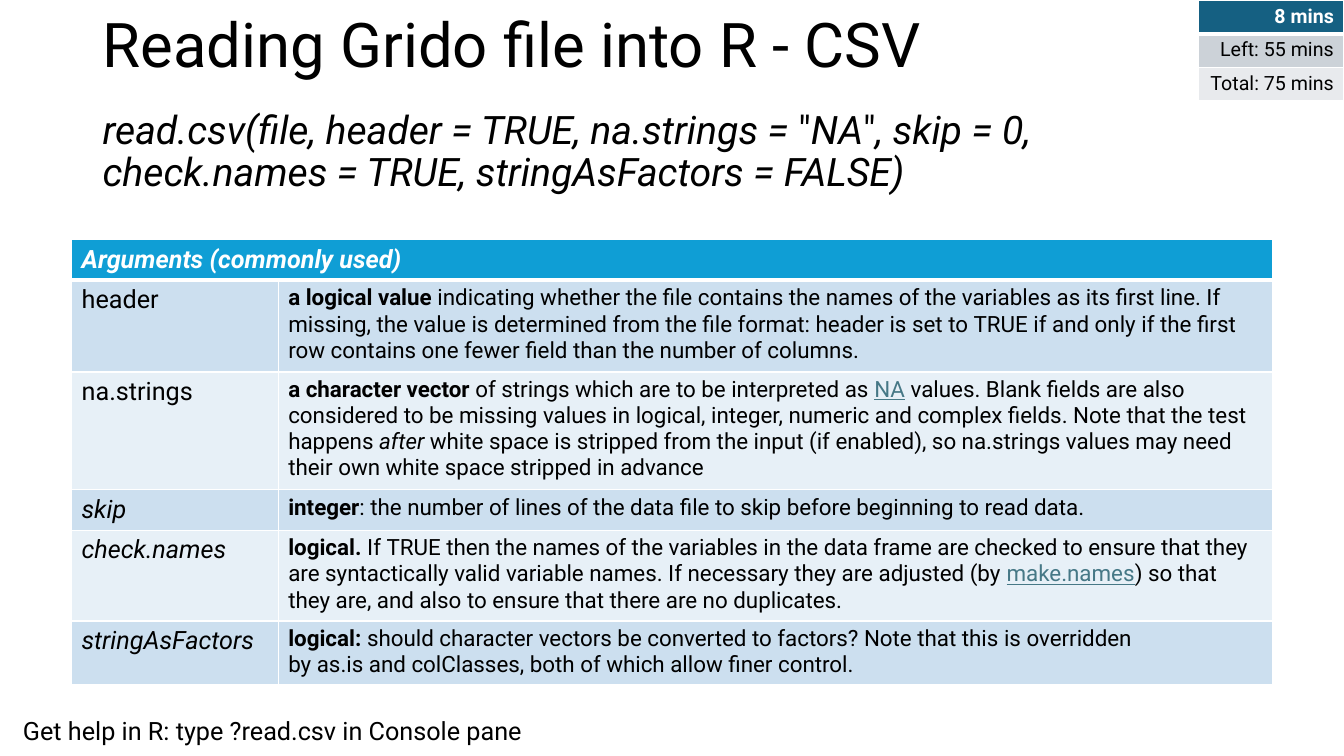
from dataclasses import dataclass

from lxml import etree
from pptx import Presentation
from pptx import util as u
from pptx.dml.color import RGBColor
from pptx.enum import text
from pptx.oxml.ns import qn

WIDE, HIGH = 13.33, 7.5

TITLE = "Reading Grido file into R - CSV"
CALL = [
    ("read.csv(file, header = TRUE, na.strings = ", "i"), ('"', ""), ("NA", "i"), ('"', ""),
    (", skip = 0, check.names = TRUE, stringAsFactors = FALSE)", "i"),
]
HELP = "Get help in R: type ?read.csv in Console pane"
TIMES = ["8 mins", "Left: 55 mins", "Total: 75 mins"]
HEAD = "Arguments (commonly used)"

# Each argument: name, style of the name, row height, description runs.
# A tilde stands for a space that does not break.
ARGS = [
    ("header", "", 0.91, [
        ("a logical value ", "b"),
        ("indicating whether the file contains the names of the variables as its first line. "
         "If missing, the value is determined from the file format:~header~is set to~TRUE~if "
         "and only if the first row contains one fewer field than the number of columns.", "")]),
    ("na.strings", "", 1.17, [
        ("a character vector ", "b"),
        ("of strings which are to be interpreted as~", ""),
        ("NA", "u"),
        ("~values. Blank fields are also considered to be missing values in logical, integer, "
         "numeric and complex fields. Note that the test happens~", ""),
        ("after", "i"),
        ("~white space is stripped from the input (if enabled), so~na.strings~values may need "
         "their own white space stripped in advance", "")]),
    ("skip", "i", 0.4, [
        ("integer", "b"),
        (": the number of lines of the data file to skip before beginning to read data.", "")]),
    ("check.names", "i", 0.9, [
        ("logical. ", "b"),
        ("If~TRUE~then the names of the variables in the data frame are checked to ensure that "
         "they are syntactically valid variable names. If necessary they are adjusted (by~", ""),
        ("make.names", "u"),
        (") so that they are, and also to ensure that there are no duplicates.", "")]),
    ("stringAsFactors", "i", 0.63, [
        ("logical: ", "b"),
        ("should character vectors be converted to factors? Note that this is overridden "
         "by~as.is~and~colClasses, both of which allow finer control.", "")]),
]


@dataclass(frozen=True)
class Theme:
    font: str = "Roboto"
    ink: str = "000000"
    white: str = "FFFFFF"
    link: str = "467886"
    clock: tuple = ("156082", "CCD2D8", "E8EAED")
    head: str = "0F9ED5"
    bands: tuple = ("CCDFEF", "E7F0F7")
    title: int = 44
    code: int = 28
    base: int = 18
    note: int = 16
    small: int = 14
    thin: int = 1
    thick: int = 3


T = Theme()


def write(frame, runs, size, color=T.ink, align=text.PP_ALIGN.LEFT):
    """Fill a text frame; run styles combine b(old), i(talic) and u(nderlined link)."""
    para = frame.paragraphs[0]
    para.alignment = align
    para.font.name, para.font.size = T.font, u.Pt(size)
    para.font.color.rgb = RGBColor.from_string(color)
    for words, style in runs:
        run = para.add_run()
        run.text = words.replace("~", chr(160))
        run.font.bold, run.font.italic = "b" in style, "i" in style
        if "u" in style:
            run.font.underline = True
        # Runs carry their own face so placeholder and table styles cannot win
        run.font.name, run.font.size = T.font, u.Pt(size)
        run.font.color.rgb = RGBColor.from_string(T.link if "u" in style else color)
    return para


def place(shape, left, top, width, height):
    shape.left, shape.top = u.Inches(left), u.Inches(top)
    shape.width, shape.height = u.Inches(width), u.Inches(height)


def box(slide, *area):
    shape = slide.shapes.add_textbox(*(u.Inches(n) for n in area))
    shape.text_frame.word_wrap = True
    return shape.text_frame


def grid(slide, left, top, cols, rows):
    """Add a plain table with the given column widths and row heights."""
    area = (u.Inches(n) for n in (left, top, sum(cols), sum(rows)))
    table = slide.shapes.add_table(len(rows), len(cols), *area).table
    table.first_row = table.horz_banding = False
    for col, width in zip(table.columns, cols):
        col.width = u.Inches(width)
    for row, height in zip(table.rows, rows):
        row.height = u.Inches(height)
    return table


def paint(cell, row, fill):
    """Draw white rules round a cell, thick below the header row, then fill it."""
    props = cell._tc.get_or_add_tcPr()
    for side in "LRTB":
        heavy = (row, side) in ((0, "B"), (1, "T"))
        line = etree.SubElement(props, qn("a:ln" + side))
        line.set("w", str(u.Pt(T.thick if heavy else T.thin)))
        solid = etree.SubElement(line, qn("a:solidFill"))
        etree.SubElement(solid, qn("a:srgbClr")).set("val", T.white)
    cell.fill.solid()
    cell.fill.fore_color.rgb = RGBColor.from_string(fill)


def add_clock(slide):
    width = 1.44
    table = grid(slide, WIDE - width, 0, [width], [HIGH / 22.5] * len(TIMES))
    for row, (words, fill) in enumerate(zip(TIMES, T.clock)):
        cell = table.cell(row, 0)
        paint(cell, row, fill)
        style, color = ("", T.ink) if row else ("b", T.white)
        write(cell.text_frame, [(words, style)], T.small, color, text.PP_ALIGN.RIGHT)


def add_args(slide):
    table = grid(slide, 0.71, 2.38, [2.05, 9.86], [0.39] + [arg[2] for arg in ARGS])
    for col in range(2):
        paint(table.cell(0, col), 0, T.head)
    table.cell(0, 0).merge(table.cell(0, 1))
    write(table.cell(0, 0).text_frame, [(HEAD, "bi")], T.base, T.white)
    for row, (name, style, _, runs) in enumerate(ARGS, 1):
        parts = (([(name, style)], T.base), (runs, T.note))
        for col, (words, size) in enumerate(parts):
            cell = table.cell(row, col)
            paint(cell, row, T.bands[(row - 1) % 2])
            write(cell.text_frame, words, size)


def main():
    deck = Presentation()
    deck.slide_width, deck.slide_height = u.Inches(WIDE), u.Inches(HIGH)
    slide = deck.slides.add_slide(deck.slide_layouts[5])

    left, width = 0.92, 11.5
    title = slide.shapes.title
    place(title, left, 0.05, width, 0.85)
    frame = title.text_frame
    frame.auto_size = text.MSO_AUTO_SIZE.NONE
    frame.vertical_anchor = text.MSO_ANCHOR.MIDDLE
    write(frame, [(TITLE, "")], T.title).line_spacing = 0.9

    call = write(box(slide, left, 1.05, width, 1), CALL, T.code)
    call.line_spacing, call.space_before = 0.9, u.Pt(10)

    write(box(slide, 0.13, 7.05, 5.24, 0.4), [(HELP, "")], T.base)
    add_clock(slide)
    add_args(slide)
    deck.save("out.pptx")


if __name__ == "__main__":
    main()
